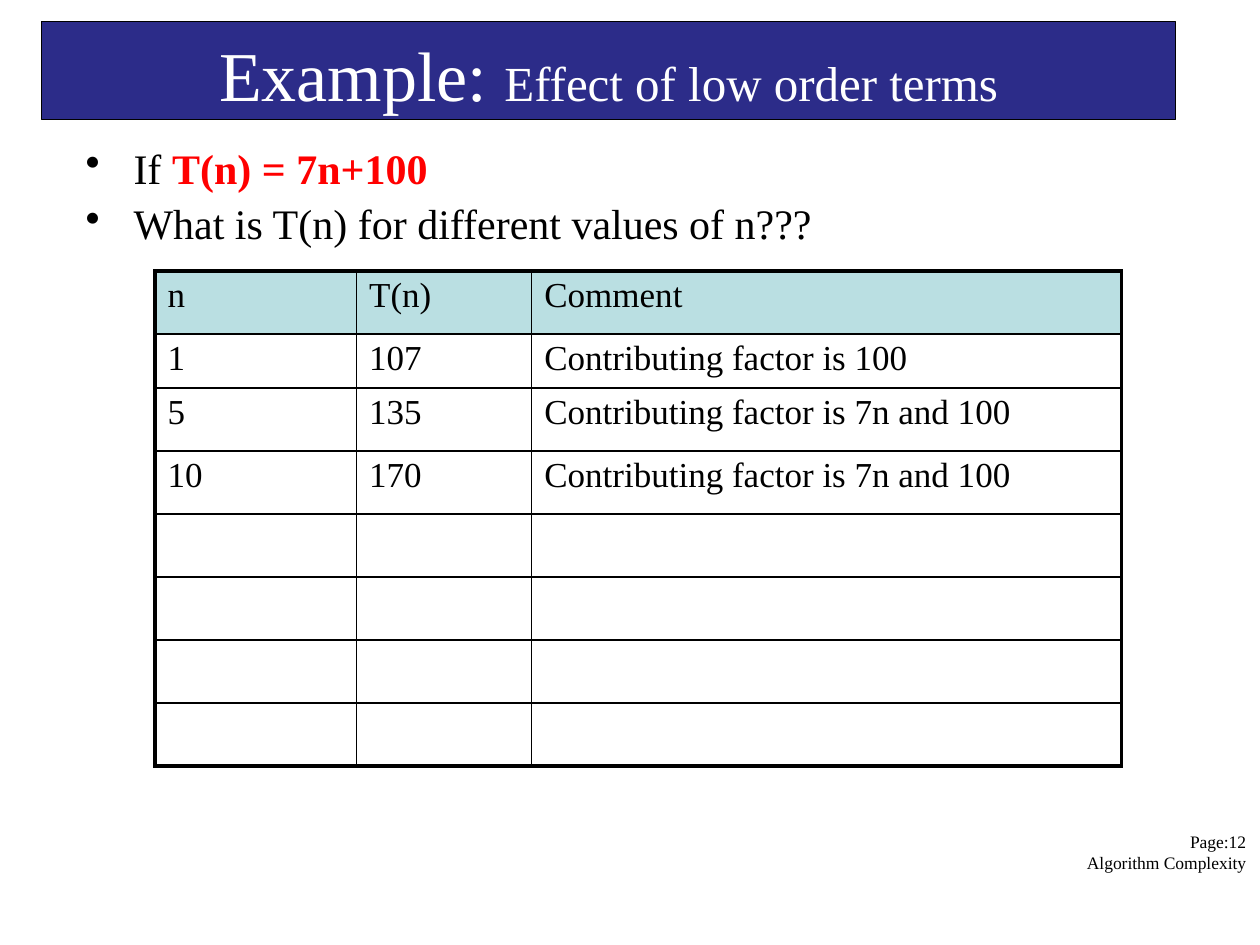
import pptx
import pptx.util
import pptx.dml.color
import pptx.enum.shapes
import pptx.enum.text
import pptx.oxml
import pptx.oxml.ns
from lxml import etree

Inches, Pt = pptx.util.Inches, pptx.util.Pt
RGBColor = pptx.dml.color.RGBColor
ALIGN = pptx.enum.text.PP_ALIGN
qn = pptx.oxml.ns.qn

BLACK = RGBColor(0, 0, 0)
WHITE = RGBColor(255, 255, 255)
RED = RGBColor(255, 0, 0)
NAVY = RGBColor(0x2C, 0x2C, 0x89)
TEAL = RGBColor(0xBA, 0xDF, 0xE2)
FONT = "Times New Roman"

COLUMNS = (1.6, 1.39, 4.68)
ROWS = (0.5, 0.43) + (0.5,) * 6
VALUES = (
    ("n", "T(n)", "Comment"),
    ("1", "107", "Contributing factor is 100"),
    ("5", "135", "Contributing factor is 7n and 100"),
    ("10", "170", "Contributing factor is 7n and 100"),
)


def add_run(p, text, size, color=BLACK, bold=False):
    """Append a formatted run to a paragraph."""
    r = p.add_run()
    r.text = text
    r.font.color.rgb = color
    for name, value in {"name": FONT, "size": Pt(size), "bold": bold}.items():
        setattr(r.font, name, value)


def set_frame(tf, top=0, right=0):
    """Give a text frame wrapping, top anchoring and its insets."""
    formats = {
        "word_wrap": True,
        "vertical_anchor": pptx.enum.text.MSO_ANCHOR.TOP,
        "margin_left": 0,
        "margin_top": Inches(top),
        "margin_right": Inches(right),
        "margin_bottom": 0,
    }
    for name, value in formats.items():
        setattr(tf, name, value)


def add_title(slide, left, top, width, height):
    """Draw the title bar with its two text sizes."""
    s = slide.shapes.add_shape(
        pptx.enum.shapes.MSO_SHAPE.RECTANGLE,
        Inches(left), Inches(top), Inches(width), Inches(height))
    s.shadow.inherit = False
    s.fill.solid()
    s.fill.fore_color.rgb = NAVY
    s.line.color.rgb = BLACK
    s.line.width = Pt(0.75)
    set_frame(s.text_frame, top=0.08)
    p = s.text_frame.paragraphs[0]
    p.alignment = ALIGN.CENTER
    add_run(p, "Example: ", 40, WHITE)
    add_run(p, "Effect of low order terms", 28, WHITE)


def add_bullets(slide, left, top, width, height):
    """Write the two bulleted lines above the table."""
    tf = slide.shapes.add_textbox(
        Inches(left), Inches(top), Inches(width), Inches(height)).text_frame
    set_frame(tf, top=0.1)
    lines = (
        (("If ", BLACK, False), ("T(n) = 7n+100", RED, True)),
        (("What is T(n) for different values of n???", BLACK, False),),
    )
    for i, line in enumerate(lines):
        p = tf.add_paragraph() if i else tf.paragraphs[0]
        pPr = p._p.get_or_add_pPr()
        pPr.set("marL", str(Inches(0.39)))
        pPr.set("indent", str(Inches(-0.38)))
        etree.SubElement(pPr, qn("a:buChar")).set("char", "•")
        if i:
            p.space_before = Pt(2.9)
        for text, color, bold in line:
            add_run(p, text, 24, color, bold)


def set_borders(cell, widths):
    """Draw the cell's black borders, given widths by side letter."""
    tcPr = cell._tc.get_or_add_tcPr()
    for side, width in widths.items():
        ln = etree.SubElement(tcPr, qn(f"a:ln{side}"), w=str(Pt(width)))
        fill = etree.SubElement(ln, qn("a:solidFill"))
        etree.SubElement(fill, qn("a:srgbClr"), val=str(BLACK))


def add_values_table(slide, left, top):
    """Place the table of T(n) values with a heavy outer frame."""
    table = slide.shapes.add_table(
        len(ROWS), len(COLUMNS), Inches(left), Inches(top),
        Inches(sum(COLUMNS)), Inches(sum(ROWS))).table
    table.first_row = table.horz_banding = False
    for column, width in zip(table.columns, COLUMNS):
        column.width = Inches(width)
    for row, height in zip(table.rows, ROWS):
        row.height = Inches(height)
    last_row, last_col = len(ROWS) - 1, len(COLUMNS) - 1
    for i in range(len(ROWS)):
        for j in range(len(COLUMNS)):
            cell = table.cell(i, j)
            outer = {"L": j == 0, "R": j == last_col,
                     "T": i == 0, "B": i == last_row}
            set_borders(cell, {k: 2.25 if v else 1 for k, v in outer.items()})
            if i == 0:
                cell.fill.solid()
                cell.fill.fore_color.rgb = TEAL
            else:
                cell.fill.background()
            cell.margin_left, cell.margin_top = Inches(0.1), Inches(0.04)
            cell.margin_right = cell.margin_bottom = 0
            if i < len(VALUES):
                add_run(cell.text_frame.paragraphs[0], VALUES[i][j], 20)


def add_footer(slide, left, top, width, height):
    """Write the page number and topic at the lower right."""
    tf = slide.shapes.add_textbox(
        Inches(left), Inches(top), Inches(width), Inches(height)).text_frame
    set_frame(tf, top=0.66, right=0.07)
    for i, text in enumerate(("Page:12", "Algorithm Complexity")):
        p = tf.add_paragraph() if i else tf.paragraphs[0]
        p.alignment = ALIGN.RIGHT
        p.line_spacing = Pt(12)
        add_run(p, text, 10)


def main():
    """Build the slide and save it."""
    prs = pptx.Presentation()
    prs.slide_width, prs.slide_height = Inches(10), Inches(7.5)
    slide = prs.slides.add_slide(prs.slide_layouts[6])
    add_footer(slide, 0.42, 6.1, 9.54, 1.33)
    add_title(slide, 0.33, 0.17, 9, 0.78)
    add_bullets(slide, 0.67, 1.03, 5.8, 0.91)
    add_values_table(slide, 1.23, 2.15)
    prs.save("out.pptx")


if __name__ == "__main__":
    main()
